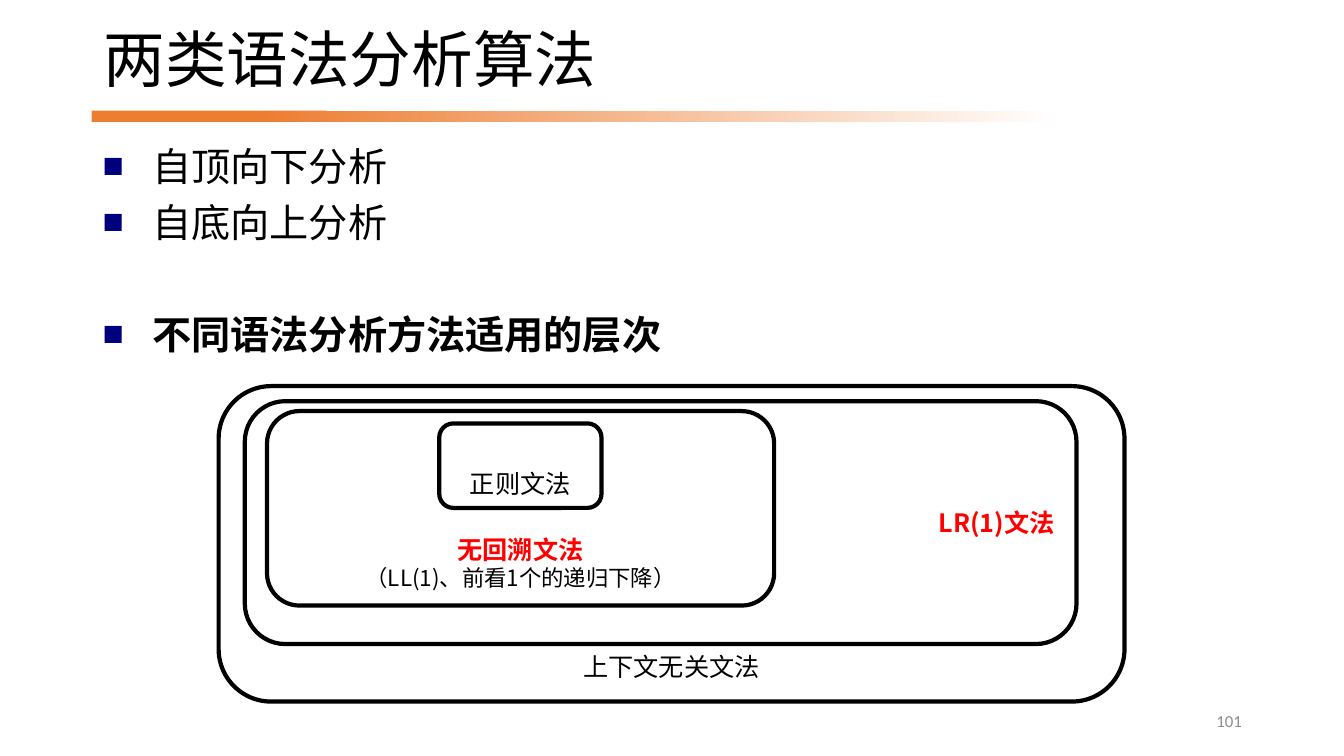
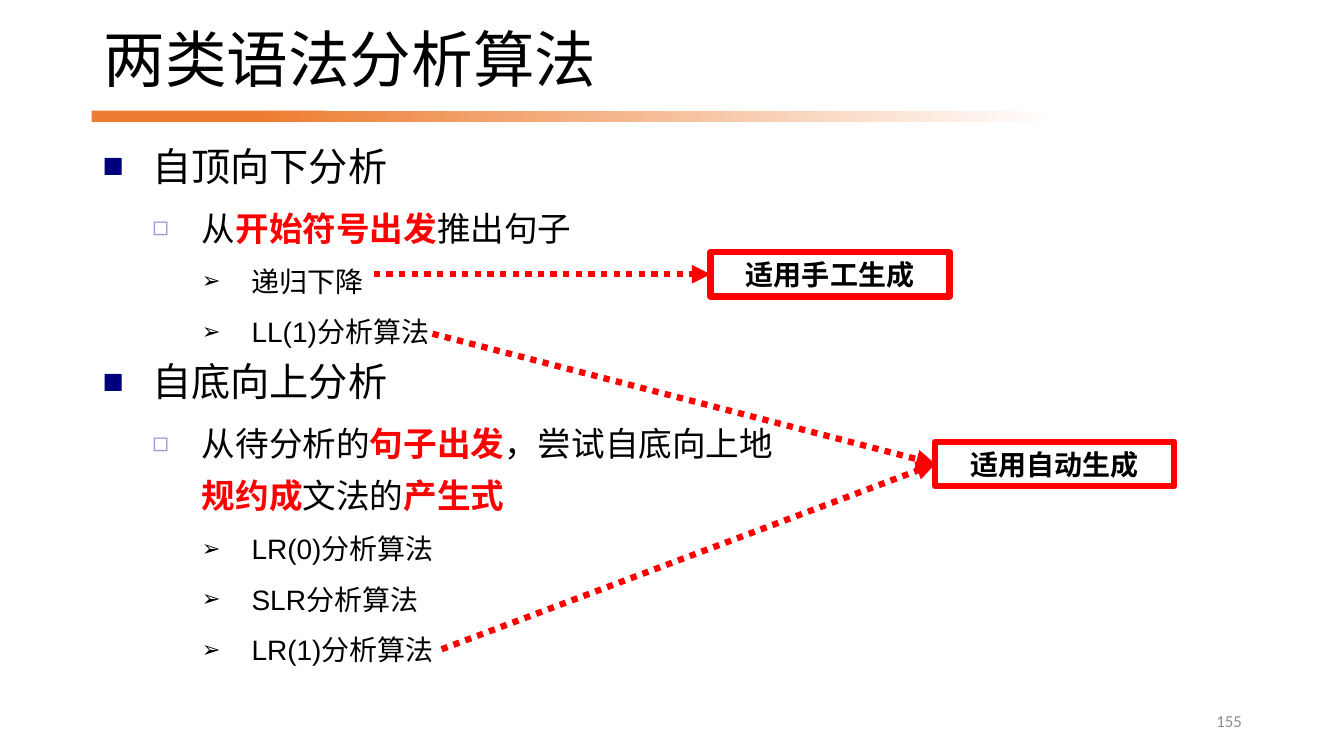
from lxml import etree
from pptx import Presentation
from pptx.dml.color import RGBColor
from pptx.enum.dml import MSO_LINE
from pptx.enum.shapes import MSO_CONNECTOR, MSO_SHAPE
from pptx.enum.text import MSO_ANCHOR, PP_ALIGN
from pptx.oxml.ns import qn
from pptx.util import Cm, Pt

RECT, ROUNDED = MSO_SHAPE.RECTANGLE, MSO_SHAPE.ROUNDED_RECTANGLE
STRAIGHT, DOTTED = MSO_CONNECTOR.STRAIGHT, MSO_LINE.ROUND_DOT
TOP, MIDDLE, BOTTOM = MSO_ANCHOR.TOP, MSO_ANCHOR.MIDDLE, MSO_ANCHOR.BOTTOM
LEFT, CENTER, RIGHT = PP_ALIGN.LEFT, PP_ALIGN.CENTER, PP_ALIGN.RIGHT

COLORS = {"text": "000000", "key": "FF0000", "accent": "ED7D31", "fade": "FFFFFF",
          "number": "8C8C8C", "square": "00007D", "box": "9999CC"}
BODY_FONT, NUMBER_FONT, CJK_FONT = "Arial", "Calibri", "Noto Sans CJK SC"
STYLES = {"plain": ("text", False), "bold": ("text", True),
          "key": ("key", True), "number": ("number", False)}

TITLE = "两类语法分析算法"
TITLE_AREA = (2.36, 0.43, 28.3, 2.26)
NUMBER_AREA = (23.93, 17.65, 7.62, 1.02)
BAND_SOLID = (2.31, 2.79, 5.92, 0.28)
BAND_FADE = (6.53, 2.79, 20.12, 0.28)

INDENT = 1.25
LEVELS = [
    {"size": 28, "line": 30, "before": 10, "bullet": "■", "color": "square", "scale": 90},
    {"size": 24, "line": 37, "before": 5, "bullet": "◻", "color": "box", "scale": 80},
    {"size": 20, "line": 31, "before": 5, "bullet": "➢", "color": "text", "scale": 80},
]
SECTION_GAP = 50

GRAMMAR_OUTLINE = [
    (0, [("自顶向下分析", "plain")]),
    (0, [("自底向上分析", "plain")]),
    (0, [("不同语法分析方法适用的层次", "bold")], SECTION_GAP),
]
GRAMMAR_AREA = (2.34, 3.58, 29.21, 13.64)
GRAMMARS = [
    ((5.51, 9.73, 22.83, 7.95), BOTTOM, CENTER, [("上下文无关文法", "plain", 18)]),
    ((11.07, 10.67, 4.09, 2.13), BOTTOM, CENTER, [("正则文法", "plain", 18)]),
    ((6.73, 10.36, 12.78, 4.9), BOTTOM, CENTER,
     [("无回溯文法", "key", 18), ("（LL(1)、前看1个的递归下降）", "plain", 16)]),
    ((6.17, 10.11, 20.96, 6.12), MIDDLE, RIGHT, [("LR(1)文法", "key", 18)]),
]

METHOD_OUTLINE = [
    (0, [("自顶向下分析", "plain")]),
    (1, [("从", "plain"), ("开始符号出发", "key"), ("推出句子", "plain")]),
    (2, [("递归下降", "plain")]),
    (2, [("LL(1)分析算法", "plain")]),
    (0, [("自底向上分析", "plain")]),
    (1, [("从待分析的", "plain"), ("句子出发", "key"), ("，尝试自底向上地", "plain"),
         ("规约成", "key"), ("文法的", "plain"), ("产生式", "key")]),
    (2, [("LR(0)分析算法", "plain")]),
    (2, [("SLR分析算法", "plain")]),
    (2, [("LR(1)分析算法", "plain")]),
]
METHOD_AREA = (2.34, 3.58, 18.1, 13.64)
USES = [
    ("适用手工生成", (17.91, 6.35, 6.02, 1.12), [(9.42, 6.91)]),
    ("适用自动生成", (23.57, 11.13, 6.02, 1.12), [(10.9, 8.41), (11.13, 16.36)]),
]


def rgb(key):
    return RGBColor.from_string(COLORS[key])


def cm(values):
    return [Cm(value) for value in values]


def add_run(paragraph, text, style, size, font):
    run = paragraph.add_run()
    run.text = text
    color, bold = STYLES[style]
    run.font.name, run.font.size, run.font.bold = font, Pt(size), bold
    run.font.color.rgb = rgb(color)
    etree.SubElement(run.font._element, qn("a:ea"), typeface=CJK_FONT)


def prepare_frame(shape, anchor):
    frame = shape.text_frame
    frame.word_wrap = True
    frame.vertical_anchor = anchor
    return frame


def next_paragraph(frame, index):
    return frame.add_paragraph() if index else frame.paragraphs[0]


def add_lines(shape, lines, anchor, align, font, spacing=1.2):
    frame = prepare_frame(shape, anchor)
    for index, (text, style, size) in enumerate(lines):
        paragraph = next_paragraph(frame, index)
        paragraph.alignment = align
        paragraph.line_spacing = Pt(round(size * spacing))
        add_run(paragraph, text, style, size, font)


def add_panel(slide, shape_type, area, line=None, width=0):
    panel = slide.shapes.add_shape(shape_type, *cm(area))
    panel.shadow.inherit = False
    panel.fill.background()
    if line:
        panel.line.color.rgb = rgb(line)
        panel.line.width = Pt(width)
    else:
        panel.line.fill.background()
    return panel


def set_bullet(paragraph, level):
    rule = LEVELS[level]
    props = paragraph._p.get_or_add_pPr()
    props.set("marL", str(Cm(INDENT * (level + 1))))
    props.set("indent", str(-Cm(INDENT)))
    color = etree.SubElement(props, qn("a:buClr"))
    etree.SubElement(color, qn("a:srgbClr"), val=COLORS[rule["color"]])
    etree.SubElement(props, qn("a:buSzPct"), val=str(rule["scale"] * 1000))
    etree.SubElement(props, qn("a:buFont"), typeface=BODY_FONT)
    etree.SubElement(props, qn("a:buChar"), char=rule["bullet"])


def add_outline(slide, area, items):
    frame = prepare_frame(slide.shapes.add_textbox(*cm(area)), TOP)
    for index, (level, runs, *gap) in enumerate(items):
        rule = LEVELS[level]
        paragraph = next_paragraph(frame, index)
        set_bullet(paragraph, level)
        paragraph.line_spacing = Pt(rule["line"])
        if index:
            paragraph.space_before = Pt(gap[0] if gap else rule["before"])
        for text, style in runs:
            add_run(paragraph, text, style, rule["size"], BODY_FONT)


def add_arrow(slide, start, box):
    end = box.left, box.top + box.height // 2
    arrow = slide.shapes.add_connector(STRAIGHT, *cm(start), *end)
    arrow.end_connect(box, 1)
    arrow.line.color.rgb = rgb("key")
    arrow.line.width = Pt(4.5)
    arrow.line.dash_style = DOTTED
    props = arrow._element.spPr
    etree.SubElement(props.find(qn("a:ln")), qn("a:tailEnd"), type="triangle")
    etree.SubElement(props, qn("a:effectLst"))


def add_page(deck, number):
    slide = deck.slides.add_slide(deck.slide_layouts[6])
    solid = add_panel(slide, RECT, BAND_SOLID)
    solid.fill.solid()
    solid.fill.fore_color.rgb = rgb("accent")
    fade = add_panel(slide, RECT, BAND_FADE)
    fade.fill.gradient()
    fade.fill.gradient_angle = 0
    for position, (stop, color) in enumerate(zip(fade.fill.gradient_stops, ("accent", "fade"))):
        stop.position = position
        stop.color.rgb = rgb(color)
    title = slide.shapes.add_textbox(*cm(TITLE_AREA))
    add_lines(title, [(TITLE, "plain", 44)], MIDDLE, LEFT, BODY_FONT, 1.07)
    page_number = slide.shapes.add_textbox(*cm(NUMBER_AREA))
    add_lines(page_number, [(number, "number", 12)], MIDDLE, RIGHT, NUMBER_FONT)
    return slide


def build_grammars(deck):
    slide = add_page(deck, "101")
    add_outline(slide, GRAMMAR_AREA, GRAMMAR_OUTLINE)
    for area, anchor, align, lines in GRAMMARS:
        grammar = add_panel(slide, ROUNDED, area, "text", 3)
        add_lines(grammar, lines, anchor, align, CJK_FONT)


def build_methods(deck):
    slide = add_page(deck, "155")
    add_outline(slide, METHOD_AREA, METHOD_OUTLINE)
    for label, area, starts in USES:
        use = add_panel(slide, RECT, area, "key", 4.5)
        add_lines(use, [(label, "bold", 20)], MIDDLE, CENTER, CJK_FONT)
        for start in starts:
            add_arrow(slide, start, use)


def main():
    deck = Presentation()
    deck.slide_width, deck.slide_height = Cm(33.87), Cm(19.05)
    build_grammars(deck)
    build_methods(deck)
    deck.save("out.pptx")


if __name__ == "__main__":
    main()
